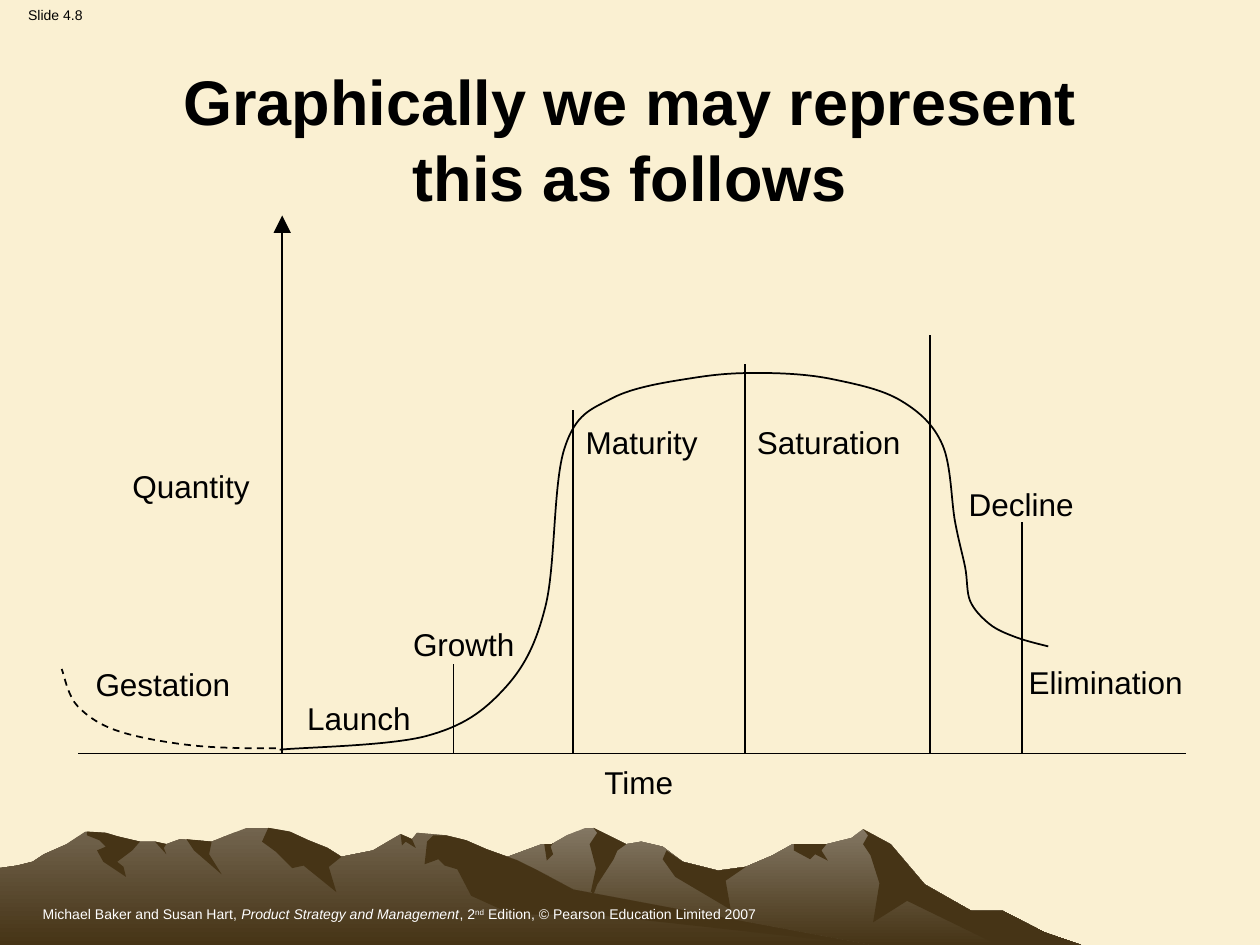
import dataclasses

import pptx
import pptx.dml.color
import pptx.enum.dml
import pptx.enum.shapes
import pptx.enum.text
import pptx.oxml.ns
import pptx.util
from lxml import etree

PX = 9144
SLIDE_WIDTH, SLIDE_HEIGHT = 1000, 750
CREAM = pptx.dml.color.RGBColor(0xFA, 0xF0, 0xD2)
BROWN = pptx.dml.color.RGBColor(0x46, 0x34, 0x16)
TAUPE = pptx.dml.color.RGBColor(0x83, 0x77, 0x63)
UMBER = pptx.dml.color.RGBColor(0x72, 0x64, 0x4E)
BLACK = pptx.dml.color.RGBColor(0, 0, 0)
WHITE = pptx.dml.color.RGBColor(255, 255, 255)
LEFT = pptx.enum.text.PP_ALIGN.LEFT
CENTER = pptx.enum.text.PP_ALIGN.CENTER
RIGHT = pptx.enum.text.PP_ALIGN.RIGHT
qn = pptx.oxml.ns.qn


@dataclasses.dataclass
class MountainRange:
    peak_color: pptx.dml.color.RGBColor
    skyline: list
    shadow_edges: dict

    def outline(self):
        first_x, last_x = self.skyline[0][0], self.skyline[-1][0]
        return self.skyline + [(last_x, SLIDE_HEIGHT), (first_x, SLIDE_HEIGHT)]

    def shadow(self, edge):
        start_x, end_x = edge[0][0], edge[-1][0]
        ridge = [point for point in self.skyline if start_x < point[0] < end_x]
        return edge + ridge[::-1]


EAST_RANGE = MountainRange(
    TAUPE,
    [(258, 750), (277, 737), (327, 708), (355, 697), (395, 683), (430, 670), (438, 670),
     (450, 663), (465, 657), (471, 657), (497, 670), (509, 668), (526, 672), (542, 684),
     (570, 691), (592, 688), (613, 679), (629, 670), (656, 670), (676, 665), (685, 658),
     (707, 670), (734, 702), (771, 723), (796, 723), (829, 740), (858, 750)],
    {
        "notch": [(432, 670), (434, 683), (439, 678), (437, 672), (439, 669)],
        "spire": [(471, 657), (474, 661), (468, 670), (473, 689), (465, 726), (474, 702),
                  (487, 682), (490, 675), (497, 670)],
        "valley": [(529, 675), (526, 682), (536, 696), (580, 722), (576, 699), (592, 688)],
        "saddle": [(630, 670), (630, 675), (643, 682), (647, 678), (657, 683), (652, 675), (656, 670)],
        "cliff": [(685, 658), (689, 663), (685, 670), (691, 679), (698, 701), (693, 732),
                  (720, 715), (792, 750), (858, 750)],
    })
WEST_RANGE = MountainRange(
    UMBER,
    [(0, 689), (14, 687), (26, 684), (35, 678), (53, 670), (68, 660), (84, 661), (94, 664),
     (111, 668), (123, 668), (132, 670), (143, 666), (168, 668), (183, 662), (196, 657),
     (213, 657), (230, 660), (245, 667), (260, 673), (271, 680), (296, 675), (318, 662),
     (327, 666), (331, 661), (354, 663), (370, 667), (386, 674), (411, 683), (427, 691),
     (455, 706), (690, 750)],
    {
        "gorge": [(69, 660), (69, 663), (79, 667), (84, 672), (77, 675), (82, 684), (100, 696),
                  (98, 688), (93, 684), (105, 675), (111, 668)],
        "nick": [(123, 668), (132, 678), (130, 673), (132, 670)],
        "gully": [(148, 666), (154, 675), (176, 694), (166, 678), (168, 668)],
        "face": [(213, 657), (208, 668), (219, 676), (232, 689), (241, 687), (267, 708),
                 (261, 688), (271, 680)],
        "notch": [(318, 662), (319, 671), (322, 668), (330, 673), (327, 666)],
        "slope": [(344, 663), (339, 668), (337, 686), (348, 682), (353, 687), (363, 690),
                  (374, 711), (407, 726), (472, 726), (690, 750)],
    })

TIME_AXIS_Y, TIME_AXIS_START, TIME_AXIS_END = 598, 62, 941
QUANTITY_AXIS_X, QUANTITY_AXIS_TOP = 224, 171
GROWTH_X, MATURITY_X, SATURATION_X, DECLINE_X, ELIMINATION_X = 360, 455, 591, 738, 811
DIVIDER_TOPS = {GROWTH_X: 527, MATURITY_X: 325, SATURATION_X: 289, DECLINE_X: 266, ELIMINATION_X: 414}

GESTATION_CURVE = [(219, 594), (156, 592), (96, 581), (62, 561), (49, 531)]
LIFE_CYCLE_CURVE = [
    (222, 595), (339, 584), (399, 548), (433, 481), (448, 356), (486, 316), (550, 300), (601, 296),
    (661, 301), (715, 318), (748, 353), (758, 414), (766, 450), (770, 477), (785, 495), (807, 506),
    (832, 513)]

LABEL_HEIGHT = 40
PLATEAU_LABEL_TOP = 331
LABELS = [
    ("Time", GROWTH_X, 601, 294, CENTER),
    ("Quantity", 82, 366, 126, RIGHT),
    ("Gestation", 66, 523, 168, LEFT),
    ("Launch", 234, 550, 136, LEFT),
    ("Growth", 318, 491, 126, LEFT),
    ("Maturity", MATURITY_X, PLATEAU_LABEL_TOP, 147, LEFT),
    ("Saturation", SATURATION_X, PLATEAU_LABEL_TOP, 157, LEFT),
    ("Decline", 759, 380, 136, LEFT),
    ("Elimination", 800, 521, 155, CENTER),
]
CITATION = [
    ("Michael Baker and Susan Hart, ", "plain"),
    ("Product Strategy and Management", "italic"),
    (", 2", "plain"),
    ("nd", "superscript"),
    (" Edition, © Pearson Education Limited 2007", "plain"),
]


def style_font(font, size, color, bold=False):
    font.name = "Arial"
    font.size = pptx.util.Pt(size)
    font.color.rgb = color
    font.bold = bold


def add_text(page, text, left, top, width, height, size, align=LEFT, bold=False, wrap=True):
    box = page.shapes.add_textbox(left * PX, top * PX, width * PX, height * PX)
    box.text_frame.word_wrap = wrap
    box.text_frame.text = text
    para = box.text_frame.paragraphs[0]
    para.alignment = align
    for span in para.runs:
        style_font(span.font, size, BLACK, bold)
    return box


def add_citation(page):
    box = add_text(page, "", 24, 714, 945, 21, 8)
    para = box.text_frame.paragraphs[0]
    for text, style in CITATION:
        span = para.add_run()
        span.text = text
        style_font(span.font, 8, WHITE)
        span.font.italic = style == "italic"
        if style == "superscript":
            span._r.get_or_add_rPr().set("baseline", "30000")


def add_outline(page, points, close):
    builder = page.shapes.build_freeform(*points[0], scale=PX)
    builder.add_line_segments(points[1:], close=close)
    shape = builder.convert_to_shape()
    shape.shadow.inherit = False
    return shape


def add_mountain_range(page, mountains):
    body = add_outline(page, mountains.outline(), True)
    body.line.fill.background()
    body.fill.gradient()
    body.fill.gradient_angle = 270
    for stop, color in zip(body.fill.gradient_stops, (mountains.peak_color, BROWN)):
        stop.color.rgb = color
    for edge in mountains.shadow_edges.values():
        shadow = add_outline(page, mountains.shadow(edge), True)
        shadow.line.fill.background()
        shadow.fill.solid()
        shadow.fill.fore_color.rgb = BROWN


def style_line(line):
    line.color.rgb = BLACK
    line.width = pptx.util.Pt(1)


def spline_points(anchors):
    padded = [anchors[0]] + anchors + [anchors[-1]]
    points = [anchors[0]]
    for before, start, end, after in zip(padded, padded[1:], padded[2:], padded[3:]):
        points.append(tuple(s + (e - b) / 6 for b, s, e in zip(before, start, end)))
        points.append(tuple(e - (a - s) / 6 for s, e, a in zip(start, end, after)))
        points.append(end)
    return points


def add_curve(page, anchors, dashed=False):
    shape = add_outline(page, spline_points(anchors), False)
    shape.fill.background()
    style_line(shape.line)
    if dashed:
        shape.line.dash_style = pptx.enum.dml.MSO_LINE.DASH
    segments = list(shape._element.iter(qn("a:lnTo")))
    outline = segments[0].getparent()
    for start in range(0, len(segments), 3):
        bezier = etree.SubElement(outline, qn("a:cubicBezTo"))
        for segment in segments[start:start + 3]:
            bezier.append(segment[0])
            outline.remove(segment)


def add_line(page, x1, y1, x2, y2, arrow=False):
    line = page.shapes.add_connector(
        pptx.enum.shapes.MSO_CONNECTOR.STRAIGHT, x1 * PX, y1 * PX, x2 * PX, y2 * PX)
    style_line(line.line)
    if arrow:
        etree.SubElement(line.line._get_or_add_ln(), qn("a:tailEnd"), type="triangle", w="lg", len="lg")
    etree.SubElement(line._element.spPr, qn("a:effectLst"))


def main():
    deck = pptx.Presentation()
    deck.slide_width = SLIDE_WIDTH * PX
    deck.slide_height = SLIDE_HEIGHT * PX
    page = deck.slides.add_slide(deck.slide_layouts[6])
    page.background.fill.solid()
    page.background.fill.fore_color.rgb = CREAM

    for mountains in (EAST_RANGE, WEST_RANGE):
        add_mountain_range(page, mountains)
    add_citation(page)
    add_text(page, "Slide 4.8", 0, 0, 88, 24, 8, CENTER, wrap=False)
    title = add_text(page, "Graphically we may represent\vthis as follows", 75, 45, 850, 130, 36, CENTER, bold=True)
    title.text_frame.vertical_anchor = pptx.enum.text.MSO_ANCHOR.MIDDLE

    add_line(page, TIME_AXIS_START, TIME_AXIS_Y, TIME_AXIS_END, TIME_AXIS_Y)
    add_line(page, QUANTITY_AXIS_X, TIME_AXIS_Y, QUANTITY_AXIS_X, QUANTITY_AXIS_TOP, arrow=True)
    for text, left, top, width, align in LABELS:
        add_text(page, text, left, top, width, LABEL_HEIGHT, 18, align)
    for x, top in DIVIDER_TOPS.items():
        add_line(page, x, TIME_AXIS_Y, x, top)
    add_curve(page, LIFE_CYCLE_CURVE)
    add_curve(page, GESTATION_CURVE, dashed=True)
    deck.save("out.pptx")


if __name__ == "__main__":
    main()
